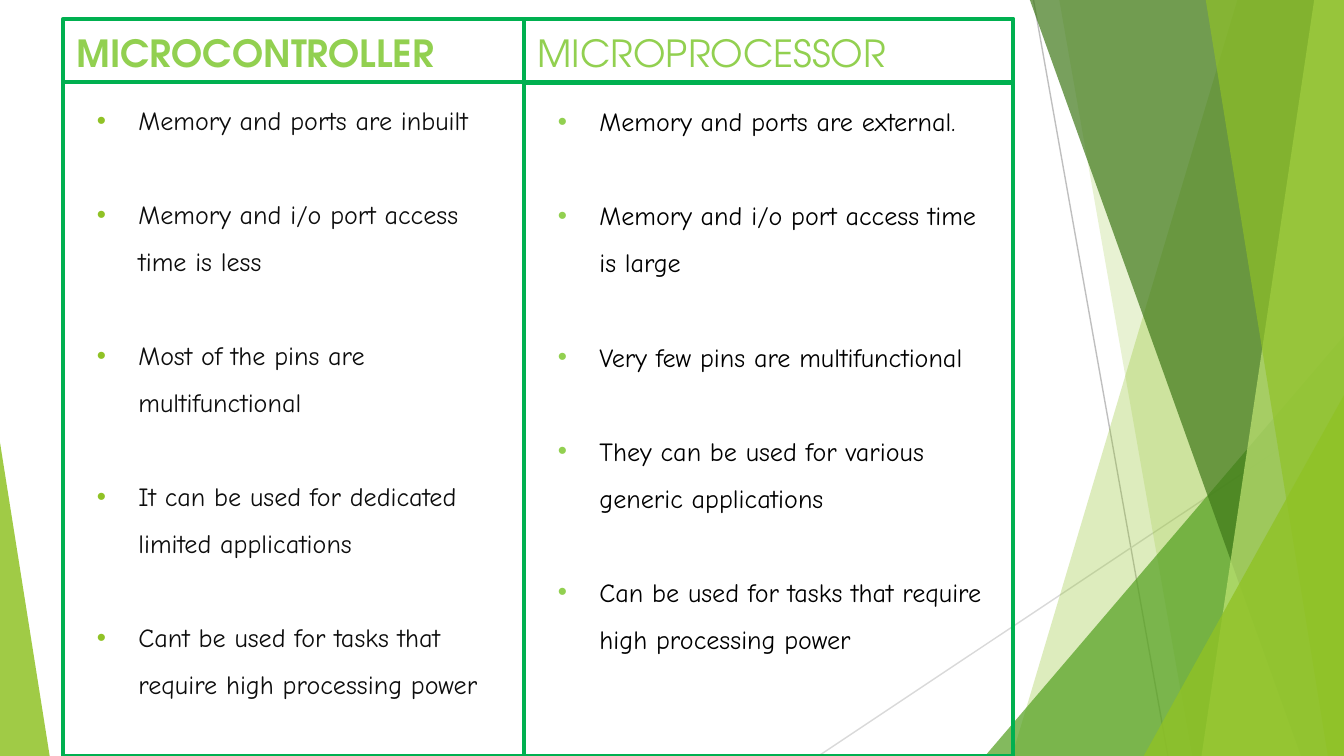
from dataclasses import dataclass

from lxml.etree import SubElement
from pptx import Presentation
from pptx.dml.color import RGBColor
from pptx.enum.shapes import MSO_CONNECTOR as Connector, MSO_SHAPE as Preset
from pptx.enum.text import MSO_ANCHOR as Anchor, MSO_AUTO_SIZE as AutoSize, PP_ALIGN as Align
from pptx.oxml.ns import qn
from pptx.util import Inches, Pt


@dataclass(frozen=True)
class Theme:
    heading_font: str = "TeX Gyre Adventor"
    body_font: str = "Comic Neue"
    heading_size: int = 20
    body_size: int = 14
    border_width: float = 2.25
    ray_width: float = 0.75
    border: str = "00B050"
    heading: str = "92D050"
    leaf: str = "90C226"
    grass: str = "54A021"
    forest: str = "3F7819"
    lime: str = "C0E474"
    ray_dark: str = "BFBFBF"
    ray_light: str = "D9D9D9"
    charcoal: str = "0D0D0D"
    black: str = "000000"


theme = Theme()


def write(para, text, *, font, size, color, bold=False, before=0, spacing=1.0, bullet=None):
    para.alignment = Align.LEFT
    para.space_before = Pt(before)
    para.space_after = Pt(0)
    para.line_spacing = spacing
    span = para.add_run()
    span.text = text
    span.font.name = font
    span.font.size = Pt(size)
    span.font.bold = bold
    span.font.color.rgb = RGBColor.from_string(color)
    if bullet:
        properties = para._p.get_or_add_pPr()
        properties.set("marL", str(Inches(0.46)))
        properties.set("indent", str(Inches(-0.31)))
        tint = SubElement(properties, qn("a:buClr"))
        SubElement(tint, qn("a:srgbClr"), val=bullet)
        SubElement(properties, qn("a:buFont"), typeface="Arial")
        SubElement(properties, qn("a:buChar"), char="•")


deck = Presentation()
deck.slide_width = Inches(10)
deck.slide_height = Inches(10) * 9 // 16
bottom_edge = deck.slide_height
page = deck.slides.add_slide(deck.slide_layouts.get_by_name("Comparison"))
page.shapes.title.element.getparent().remove(page.shapes.title.element)

rays = [
    (7.69, 0, 8.69, theme.ray_dark),
    (10, 3.02, 6.09, theme.ray_light),
]
for left, top, right, color in rays:
    ray = page.shapes.add_connector(
        Connector.STRAIGHT, Inches(left), Inches(top), Inches(right), bottom_edge
    )
    ray.line.color.rgb = RGBColor.from_string(color)
    ray.line.width = Pt(theme.ray_width)
    SubElement(ray.element.spPr, qn("a:effectLst"))

facets = [
    ("slab", (9.21, 7.53), theme.leaf, 30),
    ("slab", (7.88, 8.87), theme.leaf, 20),
    ("triangle", (7.33, 2.5, 2.67, 1), theme.grass, 72),
    ("slab", (7.66, 9.68), theme.forest, 70),
    ("slab", (9.78, 8.94), theme.lime, 70),
    ("slab", (8.97, 9.88), theme.leaf, 65),
    ("triangle", (8.51, 2.94, 1.49, 1), theme.leaf, 80),
    ("triangle", (0, 3.29, 0.37, 0), theme.leaf, 85),
]
for kind, place, color, opacity in facets:
    if kind == "slab":
        top_left, bottom_left = place
        top_edge, right_edge = Inches(-0.01), deck.slide_width
        outline = page.shapes.build_freeform(Inches(top_left), top_edge)
        outline.add_line_segments(
            [(right_edge, top_edge), (right_edge, bottom_edge), (Inches(bottom_left), bottom_edge)]
        )
        facet = outline.convert_to_shape()
    else:
        left, top, width, apex = place
        facet = page.shapes.add_shape(
            Preset.ISOSCELES_TRIANGLE,
            Inches(left), Inches(top), Inches(width), bottom_edge - Inches(top),
        )
        facet.adjustments[0] = apex
    facet.shadow.inherit = False
    facet.fill.solid()
    facet.fill.fore_color.rgb = RGBColor.from_string(color)
    facet.line.fill.background()
    tint = facet.element.spPr.find(qn("a:solidFill")).find(qn("a:srgbClr"))
    SubElement(tint, qn("a:alpha"), val=str(opacity * 1000))

columns = [
    {
        "left": 0.47, "width": 3.43, "split": 0.61, "bold": True,
        "color": theme.charcoal, "bullet": theme.leaf,
        "heading": "MICROCONTROLLER",
        "points": [
            "Memory and ports are inbuilt",
            "Memory and i/o port access time is less",
            "Most of the pins are multifunctional",
            "It can be used for dedicated limited applications",
            "Cant be used for tasks that require high processing power",
        ],
    },
    {
        "left": 3.9, "width": 3.64, "split": 0.62, "bold": False,
        "color": theme.black, "bullet": theme.heading,
        "heading": "MICROPROCESSOR",
        "points": [
            "Memory and ports are external.",
            "Memory and i/o port access time is large",
            "Very few pins are multifunctional",
            "They can be used for various generic applications",
            "Can be used for tasks that require high processing power",
        ],
    },
]
boxes = list(page.placeholders)
for column, heading_box, points_box in zip(columns, boxes[::2], boxes[1::2]):
    split = Inches(column["split"])
    places = [
        (heading_box, Inches(0.14), Inches(0.47), Anchor.BOTTOM),
        (points_box, split, bottom_edge - split, Anchor.TOP),
    ]
    for box, top, height, anchor in places:
        page.shapes.element.append(box.element)
        box.left, box.top = Inches(column["left"]), top
        box.width, box.height = Inches(column["width"]), height
        box.line.color.rgb = RGBColor.from_string(theme.border)
        box.line.width = Pt(theme.border_width)
        frame = box.text_frame
        frame.word_wrap = True
        frame.auto_size = AutoSize.NONE
        frame.vertical_anchor = anchor
        frame.margin_left = frame.margin_right = Inches(0.1)
        frame.margin_top = frame.margin_bottom = Inches(0.05)

    write(
        heading_box.text_frame.paragraphs[0], column["heading"], font=theme.heading_font,
        size=theme.heading_size, color=theme.heading, bold=column["bold"], before=7.5,
    )
    frame = points_box.text_frame
    for number, point in enumerate(column["points"]):
        para = frame.add_paragraph() if number else frame.paragraphs[0]
        write(
            para, point, font=theme.body_font, size=theme.body_size, color=column["color"],
            before=25.2 if number else 0, spacing=1.5, bullet=column["bullet"],
        )

deck.save("out.pptx")
